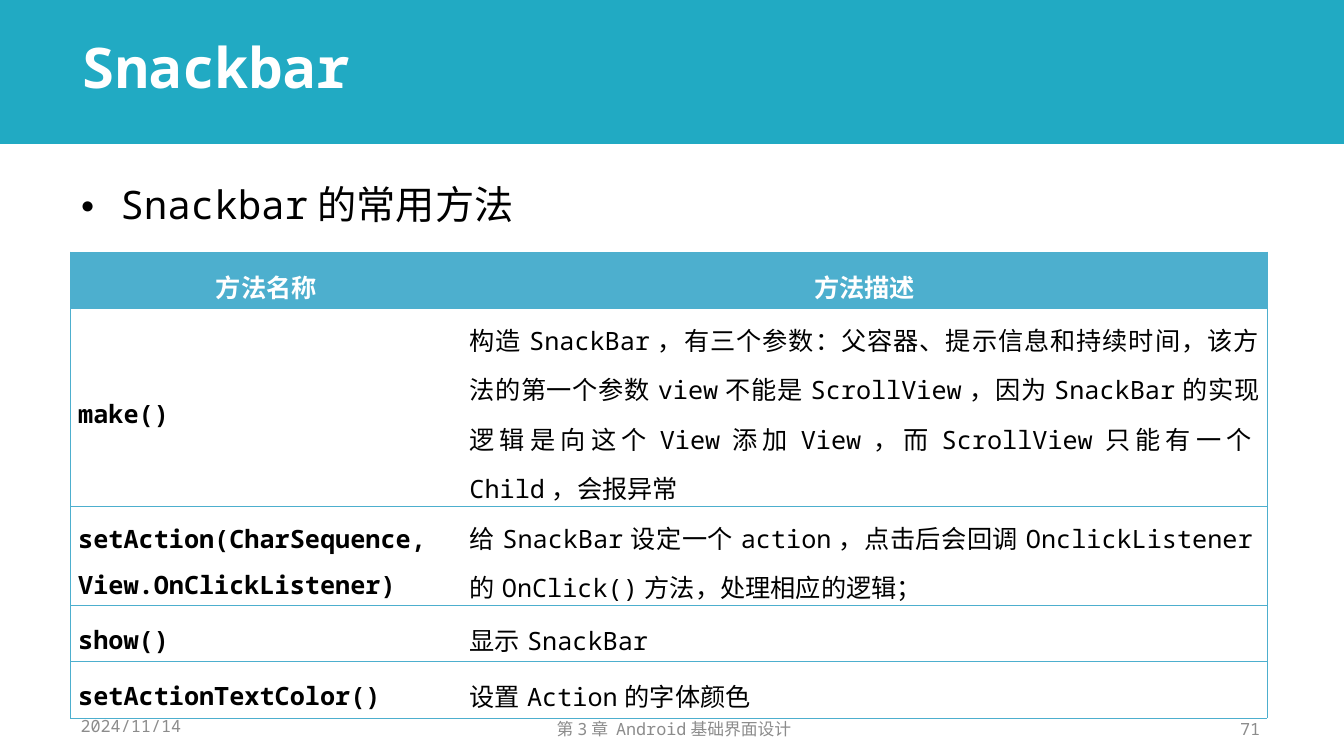
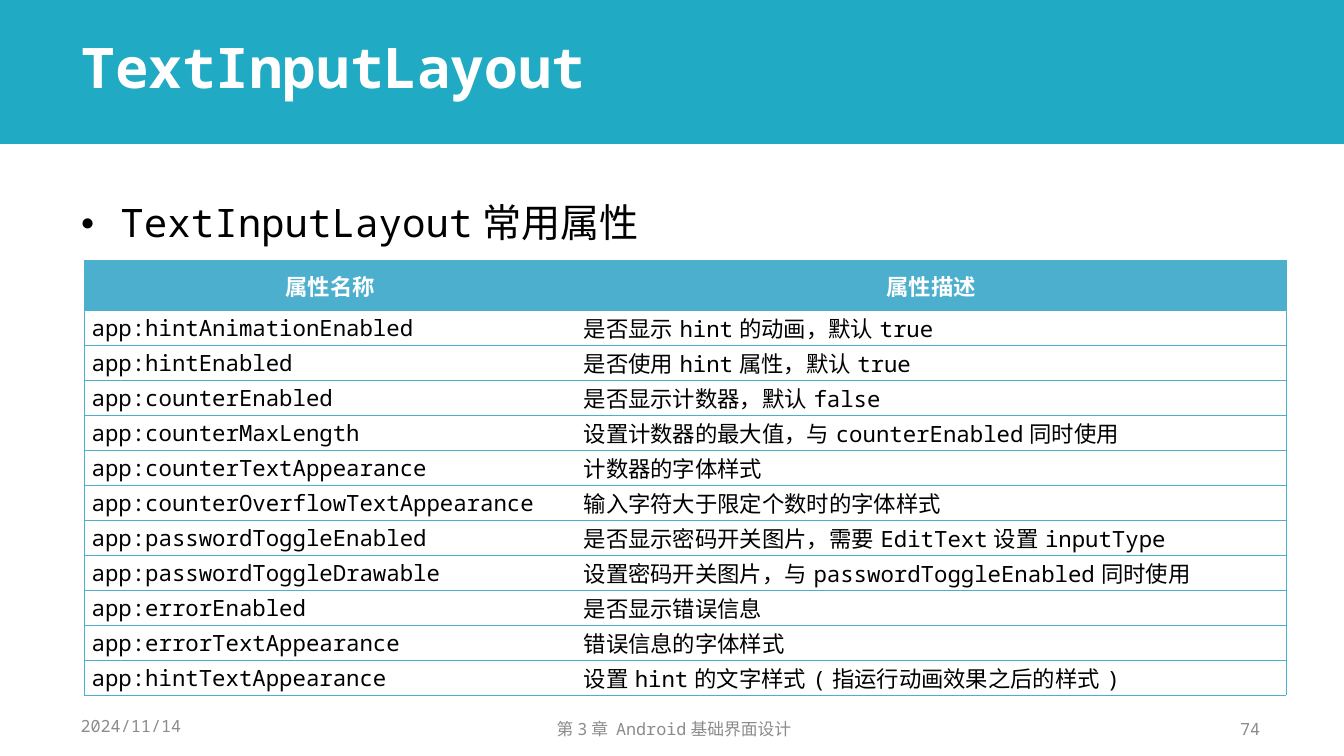
"""Builds two slides that list methods and attributes of Android widgets."""
from lxml import etree
from pptx import Presentation
from pptx import util as u
from pptx.dml.color import RGBColor
from pptx.enum import lang, shapes, text
from pptx.oxml.ns import qn

FONT = "Noto Sans Mono"
COLOURS = {"band": "21AAC3", "table": "4DAFCE", "white": "FFFFFF",
           "black": "000000", "footer": "8C8C8C"}
LEFT, CENTER, RIGHT, JUSTIFY = (text.PP_ALIGN.LEFT, text.PP_ALIGN.CENTER,
                                text.PP_ALIGN.RIGHT, text.PP_ALIGN.JUSTIFY)
DATE = "2024/11/14"
FOOTER = "第3章 Android基础界面设计"
PAGES = [
    {
        "title": "Snackbar", "number": "71",
        "bullet": "Snackbar的常用方法", "bullet_top": 4.01,
        "at": (1.78, 6.35), "columns": (9.86, 20.29),
        "heights": (1.42, 3.53, 2.18, 1.42, 1.42),
        "size": 18, "spacing": 1.35, "align": JUSTIFY, "bold_names": True,
        "rows": [
            ("方法名称", "方法描述"),
            ("make()", "构造SnackBar，有三个参数：父容器、提示信息和持续时间，该方法的第一个参数view不能是ScrollView，因为SnackBar的实现逻辑是向这个View添加View，而ScrollView只能有一个Child，会报异常"),
            ("setAction(CharSequence, View.OnClickListener)",
             "给SnackBar设定一个action，点击后会回调OnclickListener的OnClick()方法，处理相应的逻辑；"),
            ("show()", "显示SnackBar"),
            ("setActionTextColor()", "设置Action的字体颜色"),
        ],
    },
    {
        "title": "TextInputLayout", "number": "74",
        "bullet": "TextInputLayout常用属性", "bullet_top": 4.45,
        "at": (2.12, 6.56), "columns": (12.4, 17.89),
        "heights": (1.27,) + (0.88,) * 11,
        "size": 16, "spacing": 1, "align": LEFT, "bold_names": False,
        "rows": [
            ("属性名称", "属性描述"),
            ("app:hintAnimationEnabled", "是否显示hint的动画，默认true"),
            ("app:hintEnabled", "是否使用hint属性，默认true"),
            ("app:counterEnabled", "是否显示计数器，默认false"),
            ("app:counterMaxLength", "设置计数器的最大值，与counterEnabled同时使用"),
            ("app:counterTextAppearance", "计数器的字体样式"),
            ("app:counterOverflowTextAppearance", "输入字符大于限定个数时的字体样式"),
            ("app:passwordToggleEnabled", "是否显示密码开关图片，需要EditText设置inputType"),
            ("app:passwordToggleDrawable", "设置密码开关图片，与passwordToggleEnabled同时使用"),
            ("app:errorEnabled", "是否显示错误信息"),
            ("app:errorTextAppearance", "错误信息的字体样式"),
            ("app:hintTextAppearance", "设置hint的文字样式(指运行动画效果之后的样式)"),
        ],
    },
]


def colour(name):
    return RGBColor.from_string(COLOURS[name])


def write(frame, words, size, ink, bold=False, align=LEFT, spacing=1):
    """Fill a text frame with one formatted paragraph."""
    frame.word_wrap = True
    para = frame.paragraphs[0]
    para.alignment, para.line_spacing, para.space_before = align, spacing, u.Pt(0)
    span = para.add_run()
    span.text = words
    span.font.name, span.font.size, span.font.bold = FONT, u.Pt(size), bold
    span.font.language_id = lang.MSO_LANGUAGE_ID.SIMPLIFIED_CHINESE
    span.font.color.rgb = colour(ink)
    return para


def place(shape, left, top, width, height):
    shape.left, shape.top = u.Cm(left), u.Cm(top)
    shape.width, shape.height = u.Cm(width), u.Cm(height)


def add_band(slide):
    """Draw the title band and move it to the shared layout."""
    band = slide.shapes.add_shape(shapes.MSO_SHAPE.RECTANGLE, 0, 0, u.Cm(33.87), u.Cm(3.63))
    band.shadow.inherit = False
    band.fill.solid()
    band.fill.fore_color.rgb = colour("band")
    band.line.fill.background()
    slide.slide_layout.shapes.element.insert(2, band.element)


def add_heading(slide, page):
    title, body = slide.shapes.title, slide.placeholders[1]
    place(title, 1.8, 0.33, 30.15, 2.34)
    write(title.text_frame, page["title"], 40, "white", bold=True, spacing=0.9)
    title.text_frame.vertical_anchor = text.MSO_ANCHOR.BOTTOM
    place(body, 1.78, page["bullet_top"], 30.23, 1.9)
    para = write(body.text_frame, page["bullet"], 28, "black", spacing=1.35)
    for shape in (title, body):
        shape.text_frame.auto_size = text.MSO_AUTO_SIZE.NONE
    settings = para._p.get_or_add_pPr()
    settings.set("marL", str(u.Cm(1)))
    settings.set("indent", str(-u.Cm(1)))
    for tag, key, value in (("buSzPct", "val", "60000"),
                            ("buFont", "typeface", FONT), ("buChar", "char", "●")):
        etree.SubElement(settings, qn(f"a:{tag}")).set(key, value)


def add_footers(slide, number):
    for words, left, top, width, align in ((DATE, 1.78, 18.01, 3.86, LEFT),
                                           (FOOTER, 11.23, 18.08, 11.51, CENTER),
                                           (number, 29.85, 18.08, 2.16, RIGHT)):
        box = slide.shapes.add_textbox(u.Cm(left), u.Cm(top), u.Cm(width), u.Cm(0.58))
        box.text_frame.vertical_anchor = text.MSO_ANCHOR.MIDDLE
        write(box.text_frame, words, 12, "footer", align=align)


def set_borders(cell, visible):
    settings = cell._tc.get_or_add_tcPr()
    for index, side in enumerate("LRTB"):
        line = settings.makeelement(qn(f"a:ln{side}"), {"w": str(u.Pt(0.5))})
        settings.insert(index, line)
        if side in visible:
            fill = etree.SubElement(line, qn("a:solidFill"))
            etree.SubElement(fill, qn("a:srgbClr")).set("val", COLOURS["table"])
        else:
            etree.SubElement(line, qn("a:noFill"))


def add_grid(slide, page):
    rows, widths, heights = page["rows"], page["columns"], page["heights"]
    left, top = page["at"]
    table = slide.shapes.add_table(len(rows), len(widths), u.Cm(left), u.Cm(top),
                                   u.Cm(sum(widths)), u.Cm(sum(heights))).table
    table.horz_banding = False
    for column, width in zip(table.columns, widths):
        column.width = u.Cm(width)
    for r, (row, height) in enumerate(zip(rows, heights)):
        table.rows[r].height = u.Cm(height)
        header = r == 0
        for c, words in enumerate(row):
            cell = table.cell(r, c)
            cell.margin_left = cell.margin_right = u.Cm(0.19)
            cell.margin_top = cell.margin_bottom = 0
            cell.vertical_anchor = text.MSO_ANCHOR.MIDDLE
            if header:
                cell.fill.solid()
                cell.fill.fore_color.rgb = colour("table")
            else:
                cell.fill.background()
            write(cell.text_frame, words, page["size"], "white" if header else "black",
                  bold=header or (c == 0 and page["bold_names"]),
                  align=CENTER if header else page["align"], spacing=page["spacing"])
            set_borders(cell, "TBL" if c == 0 else "TBR")


def main():
    deck = Presentation()
    deck.slide_width, deck.slide_height = u.Cm(33.87), u.Cm(19.05)
    layout = deck.slide_layouts[1]
    for index, page in enumerate(PAGES):
        slide = deck.slides.add_slide(layout)
        if index == 0:
            add_band(slide)
        add_heading(slide, page)
        add_grid(slide, page)
        add_footers(slide, page["number"])
    deck.save("out.pptx")


if __name__ == "__main__":
    main()
